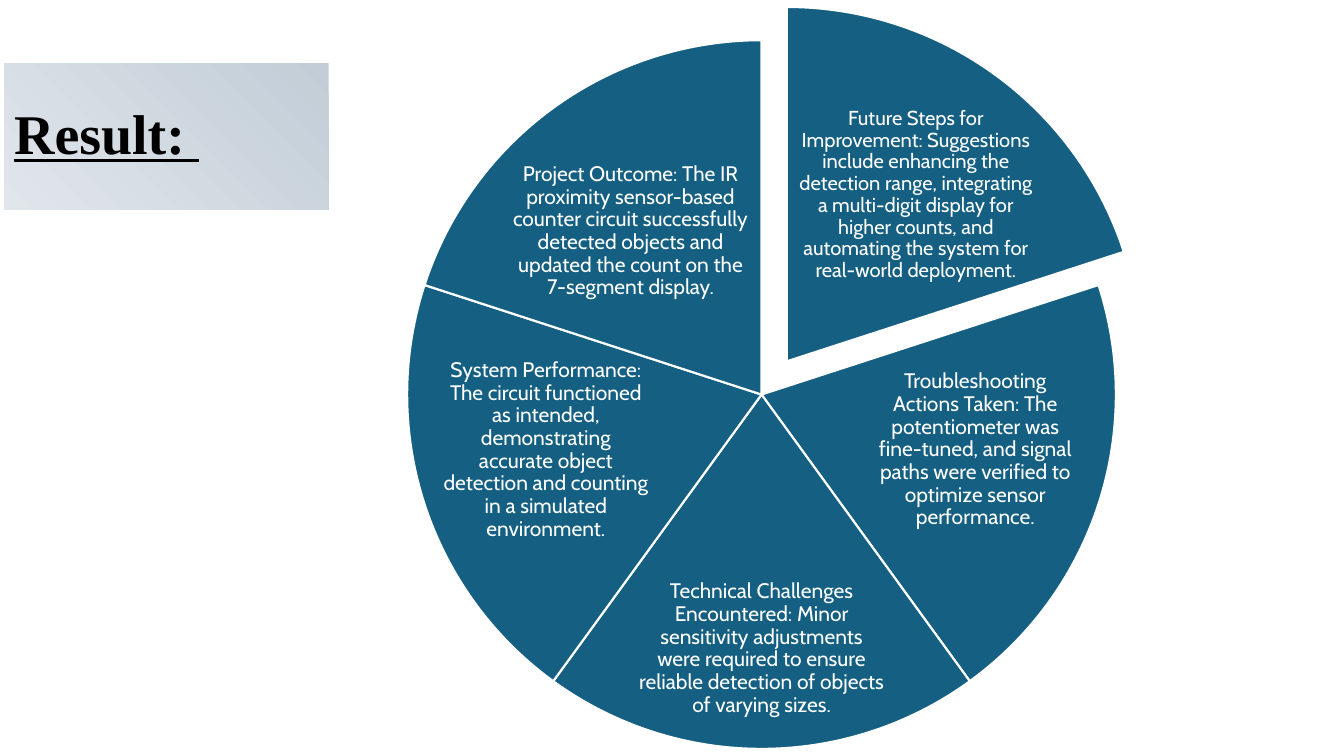
from dataclasses import dataclass
from pptx import Presentation
from pptx.dml.color import RGBColor
from pptx.enum.shapes import MSO_SHAPE as Shape
from pptx.enum.text import MSO_ANCHOR as Anchor, MSO_AUTO_SIZE as AutoSize, PP_ALIGN as Align
from pptx.shapes.group import GroupShape
from pptx.slide import Slide
from pptx.text.text import TextFrame
from pptx.util import Inches, Pt

SLIDE_W, SLIDE_H = Inches(13.333), Inches(7.5)
WHITE, TEAL = "FFFFFF", "156082"


@dataclass
class Box:
    left: float
    top: float
    width: float
    height: float

    def emu(self) -> tuple[int, int, int, int]:
        return (int(SLIDE_W * self.left / 100), int(SLIDE_H * self.top / 100),
                int(SLIDE_W * self.width / 100), int(SLIDE_H * self.height / 100))


@dataclass
class Slice:
    text: str
    label: Box
    pie: Box
    size: float = 15


TITLE = Box(0.3, 8.4, 24.15, 19.33)
PIE = Box(30.3, 5.33, 52.73, 93.73)
PULLED_PIE = Box(32.18, 0.93, 52.73, 93.73)

SLICES = [
    Slice("Future Steps for Improvement: Suggestions include enhancing the detection range, "
          "integrating a multi-digit display for higher counts, and automating the system "
          "for real-world deployment.",
          Box(59.18, 14.93, 17.93, 21.73), PULLED_PIE, 14.4),
    Slice("Troubleshooting Actions Taken: The potentiometer was fine-tuned, and signal paths "
          "were verified to optimize sensor performance.",
          Box(64.73, 47.73, 15.68, 23.6), PIE),
    Slice("Technical Challenges Encountered: Minor sensitivity adjustments were required to "
          "ensure reliable detection of objects of varying sizes.",
          Box(47.25, 75.73, 18.83, 20.13), PIE),
    Slice("System Performance: The circuit functioned as intended, demonstrating accurate "
          "object detection and counting in a simulated environment.",
          Box(32.78, 47.73, 15.68, 23.6), PIE),
    Slice("Project Outcome: The IR proximity sensor-based counter circuit successfully "
          "detected objects and updated the count on the 7-segment display.",
          Box(37.95, 19.73, 17.93, 21.73), PIE),
]


def rgb(value: str) -> RGBColor:
    return RGBColor.from_string(value)


def write(tf: TextFrame, text: str, font: str, size: float, color: str,
          align: Align, strong: bool = False) -> None:
    tf.word_wrap = True
    tf.auto_size = AutoSize.NONE
    tf.vertical_anchor = Anchor.MIDDLE
    p = tf.paragraphs[0]
    p.alignment = align
    p.line_spacing = 0.9
    r = p.add_run()
    r.text = text
    r.font.name = font
    r.font.size = Pt(size)
    r.font.color.rgb = rgb(color)
    r.font.bold = r.font.underline = strong


def draw_title(s: Slide) -> None:
    sp = s.shapes.title
    sp.left, sp.top, sp.width, sp.height = TITLE.emu()
    sp.fill.gradient()
    sp.fill.gradient_angle = 225
    for stop, color in zip(sp.fill.gradient_stops, ("C2CDD7", "E1E6EB")):
        stop.color.rgb = rgb(color)
    write(sp.text_frame, "Result: ", "Times New Roman", 40, "000000", Align.LEFT, True)


def draw_slice(group: GroupShape, index: int, item: Slice) -> None:
    step = 360 / len(SLICES)
    sp = group.shapes.add_shape(Shape.PIE, *item.pie.emu())
    for i in range(2):
        sp.adjustments[i] = (270 + (index + i) * step) % 360 * 0.6
    sp.shadow.inherit = False
    sp.fill.solid()
    sp.fill.fore_color.rgb = rgb(TEAL)
    sp.line.color.rgb = rgb(WHITE)
    sp.line.width = Pt(1.5)
    tf = group.shapes.add_textbox(*item.label.emu()).text_frame
    tf.margin_left = tf.margin_right = tf.margin_top = tf.margin_bottom = Inches(0.02)
    write(tf, item.text, "Cabin", item.size, WHITE, Align.CENTER)


def main() -> None:
    prs = Presentation()
    prs.slide_width, prs.slide_height = SLIDE_W, SLIDE_H
    s = prs.slides.add_slide(prs.slide_layouts.get_by_name("Title Only"))
    draw_title(s)
    group = s.shapes.add_group_shape()
    for index, item in enumerate(SLICES):
        draw_slice(group, index, item)
    prs.save("out.pptx")


if __name__ == "__main__":
    main()
